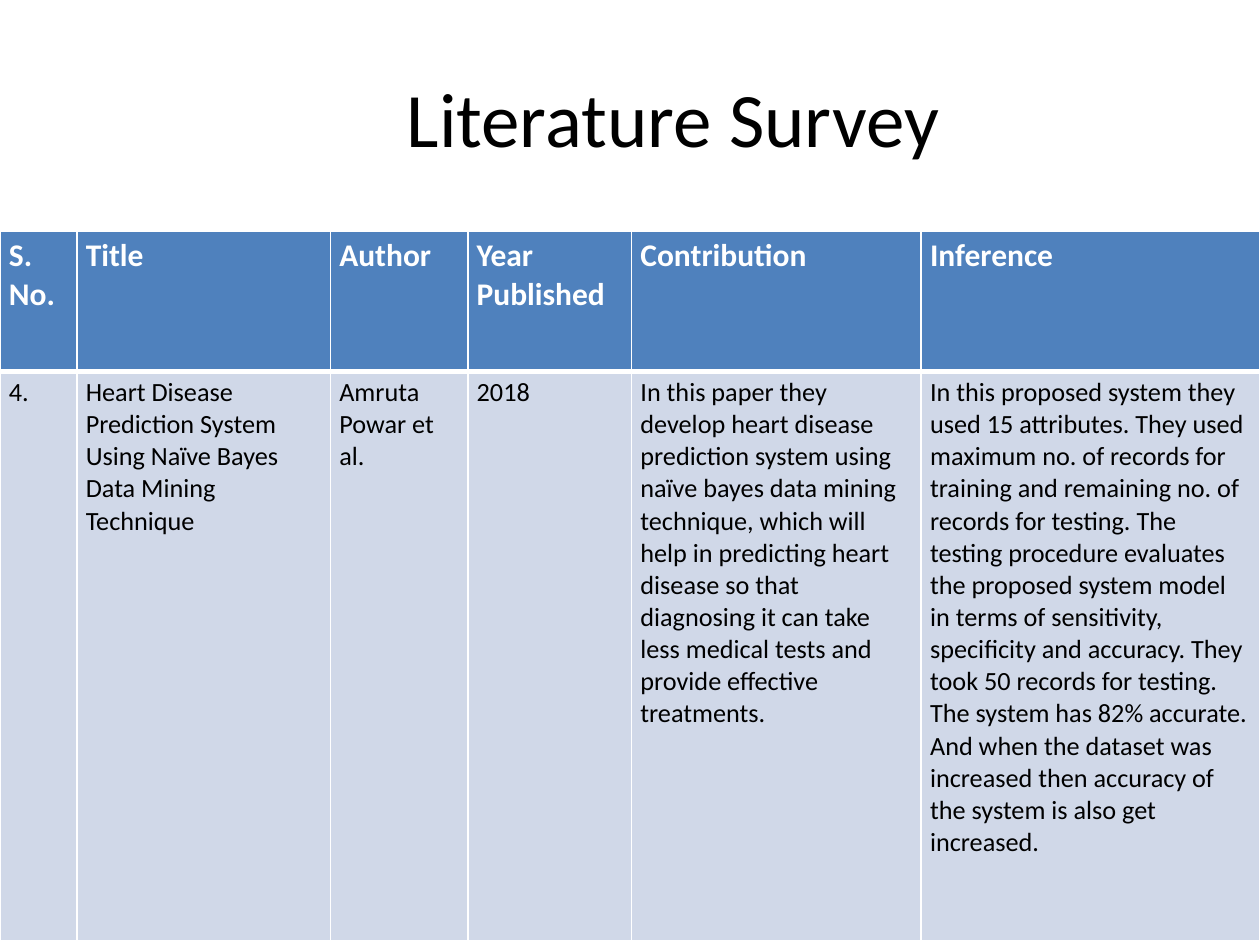
from lxml.etree import SubElement
from pptx import Presentation
from pptx.dml.color import RGBColor
from pptx.enum.text import MSO_ANCHOR, PP_ALIGN
from pptx.oxml.ns import qn
from pptx.util import Cm, Pt

COLORS = {"white": "FFFFFF", "black": "000000", "header": "4F81BD", "body": "D0D8E8"}
COLUMN_WIDTHS = [1.55, 5.11, 2.77, 3.3, 5.84, 6.83]
ROW_HEIGHTS = [2.82, 11.48]
HEADINGS = ["S. No.", "Title", "Author", "Year Published", "Contribution", "Inference"]
PAPER = [
    "4.",
    "Heart Disease Prediction System Using Naïve Bayes Data Mining Technique",
    "Amruta Powar et al.",
    "2018",
    "In this paper they develop heart disease prediction system using naïve bayes "
    "data mining technique, which will help in predicting heart disease so that "
    "diagnosing it can take less medical tests and provide effective treatments.",
    "In this proposed system they used 15 attributes. They used maximum no. of records "
    "for training and remaining no. of records for testing. The testing procedure "
    "evaluates the proposed system model in terms of sensitivity, specificity and "
    "accuracy. They took 50 records for testing. The system has 82% accurate. And when "
    "the dataset was increased then accuracy of the system is also get increased.",
]
# Text, fill and border widths (left, right, top, bottom) of each row
ROWS = [
    (HEADINGS, "header", {"size": 18, "color": "white", "bold": True}, (1, 1, 1, 3)),
    (PAPER, "body", {"size": 15}, (1, 1, 3, 1)),
]


def write_text(frame, text, size=15, color="black", bold=False, align=PP_ALIGN.LEFT):
    """Write one formatted paragraph into a text frame."""
    para = frame.paragraphs[0]
    para.alignment = align
    span = para.add_run()
    span.text = text
    span.font.name = "Calibri"
    span.font.size = Pt(size)
    span.font.bold = bold
    span.font.color.rgb = RGBColor.from_string(COLORS[color])


def add_borders(cell, widths):
    """Draw white borders on a cell that has no fill yet."""
    properties = cell._tc.get_or_add_tcPr()
    for side, width in zip("LRTB", widths):
        line = SubElement(properties, qn(f"a:ln{side}"), w=str(Pt(width)))
        fill = SubElement(line, qn("a:solidFill"))
        SubElement(fill, qn("a:srgbClr"), val=COLORS["white"])


deck = Presentation()
deck.slide_width, deck.slide_height = Cm(25.4), Cm(19.05)
page = deck.slides.add_slide(deck.slide_layouts[5])

title = page.shapes.title
title.left, title.top, title.width, title.height = Cm(1.27), Cm(0.76), Cm(22.86), Cm(3.18)
title.text_frame.margin_left = Cm(2)
title.text_frame.vertical_anchor = MSO_ANCHOR.MIDDLE
write_text(title.text_frame, "Literature Survey", size=44, align=PP_ALIGN.CENTER)

survey = page.shapes.add_table(
    len(ROWS), len(HEADINGS), Cm(0), Cm(4.67), Cm(sum(COLUMN_WIDTHS)), Cm(sum(ROW_HEIGHTS))
).table
for column, width in zip(survey.columns, COLUMN_WIDTHS):
    column.width = Cm(width)
for row, height, (texts, fill, style, borders) in zip(survey.rows, ROW_HEIGHTS, ROWS):
    row.height = Cm(height)
    for cell, text in zip(row.cells, texts):
        cell.margin_left = cell.margin_right = Cm(0.18)
        cell.margin_top = cell.margin_bottom = Cm(0.1)
        add_borders(cell, borders)
        cell.fill.solid()
        cell.fill.fore_color.rgb = RGBColor.from_string(COLORS[fill])
        write_text(cell.text_frame, text, **style)

deck.save("out.pptx")
